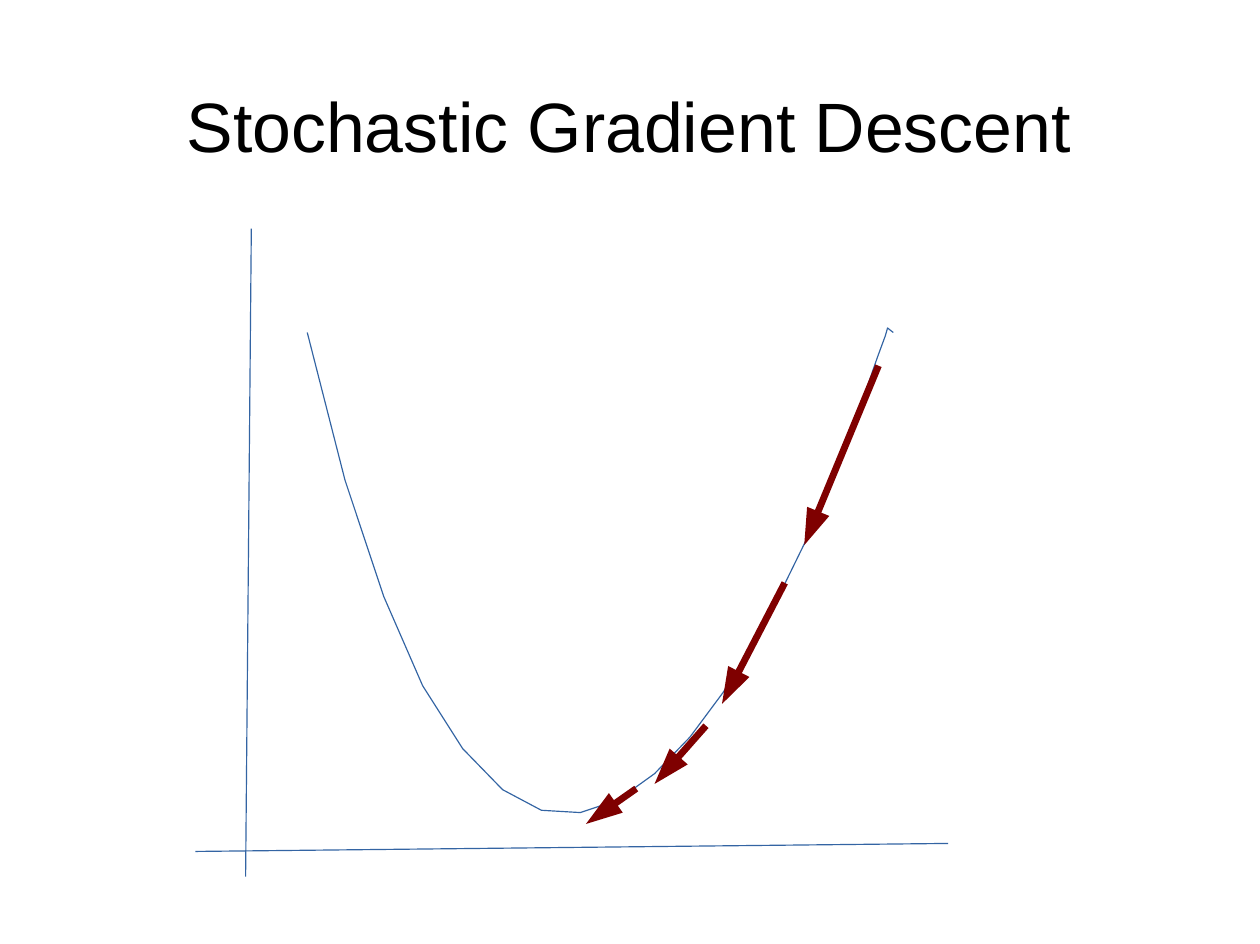
from math import hypot

from pptx import Presentation
from pptx.dml.color import RGBColor
from pptx.enum.shapes import MSO_CONNECTOR as Connector
from pptx.enum.text import MSO_ANCHOR as Anchor, PP_ALIGN as Align
from pptx.oxml.ns import qn
from pptx.util import Pt
from lxml.etree import SubElement

EMU_PER_PX = 9144  # 100 px to the inch
COLORS = {"text": "000000", "curve": "3364A3", "step": "7F0000"}
HEAD_LENGTH, HEAD_WIDTH = 32, 21

# Points below are px from the top left corner of the plot.
AXES = [((49, 0), (44, 567)), ((659, 538), (0, 545))]
LOSS_CURVE = [
    (98, 91), (131, 220), (165, 322), (199, 400), (234, 455), (269, 491),
    (303, 509), (337, 511), (370, 500), (402, 477), (433, 445), (462, 406),
    (489, 362), (514, 315), (537, 268), (557, 221), (574, 179), (587, 142),
    (597, 113), (604, 94), (606, 87), (611, 91),
]
DESCENT_STEPS = [
    ((598, 120), (533, 277)),
    ((516, 310), (461, 416)),
    ((447, 435), (402, 486)),
    ((386, 490), (342, 521)),
]


def px(length):
    return round(length * EMU_PER_PX)


def color(name):
    return RGBColor.from_string(COLORS[name])


def place(box, point):
    """Turn a point inside the box into slide EMU."""
    return px(box[0] + point[0]), px(box[1] + point[1])


def write_text(frame, text, size, color_name, font="Arial", align=Align.CENTER):
    para = frame.paragraphs[0]
    para.alignment = align
    span = para.add_run()
    span.text = text
    span.font.name = font
    span.font.size = Pt(size)
    span.font.color.rgb = color(color_name)


def format_line(line, color_name, width):
    line.color.rgb = color(color_name)
    line.width = Pt(width)


def add_line(slide, box, start, end, color_name, width):
    connector = slide.shapes.add_connector(
        Connector.STRAIGHT, *place(box, start), *place(box, end))
    format_line(connector.line, color_name, width)
    SubElement(connector._element.spPr, qn("a:effectLst"))


def add_outline(slide, box, points, close):
    start, *rest = [place(box, point) for point in points]
    builder = slide.shapes.build_freeform(*start)
    builder.add_line_segments(rest, close=close)
    outline = builder.convert_to_shape()
    outline.shadow.inherit = False
    return outline


def add_curve(slide, box, points, color_name, width):
    curve = add_outline(slide, box, points, close=False)
    curve.fill.background()
    format_line(curve.line, color_name, width)


def add_arrow(slide, box, start, tip, color_name, width):
    """Draw a shaft that ends at the base of a narrow, solid head."""
    run, rise = tip[0] - start[0], tip[1] - start[1]
    length = hypot(run, rise)
    along_x, along_y = run / length, rise / length
    base_x = tip[0] - HEAD_LENGTH * along_x
    base_y = tip[1] - HEAD_LENGTH * along_y
    side_x, side_y = along_y * HEAD_WIDTH / 2, -along_x * HEAD_WIDTH / 2
    add_line(slide, box, start, (base_x + along_x, base_y + along_y),
             color_name, width)
    corners = [(base_x - side_x, base_y - side_y), tip,
               (base_x + side_x, base_y + side_y)]
    head = add_outline(slide, box, corners, close=True)
    head.fill.solid()
    head.fill.fore_color.rgb = color(color_name)
    head.line.fill.background()


def add_title(slide, box, text):
    title = slide.shapes.title
    title.left, title.top, title.width, title.height = map(px, box)
    frame = title.text_frame
    frame.word_wrap = True
    frame.vertical_anchor = Anchor.MIDDLE
    frame.margin_left = frame.margin_right = frame.margin_bottom = 0
    frame.margin_top = px(10)
    write_text(frame, text, size=44, color_name="text")


def add_descent_plot(slide, box):
    add_curve(slide, box, LOSS_CURVE, "curve", 0.75)
    for start, end in AXES:
        add_line(slide, box, start, end, "curve", 0.75)
    for start, tip in DESCENT_STEPS:
        add_arrow(slide, box, start, tip, "step", 4.3)


def main():
    deck = Presentation()
    deck.slide_width, deck.slide_height = px(1103), px(826)
    page = deck.slides.add_slide(deck.slide_layouts.get_by_name("Title Only"))
    add_title(page, (96, 38, 910, 132), "Stochastic Gradient Descent")
    add_descent_plot(page, (171, 200, 659, 567))
    deck.save("out.pptx")


if __name__ == "__main__":
    main()
